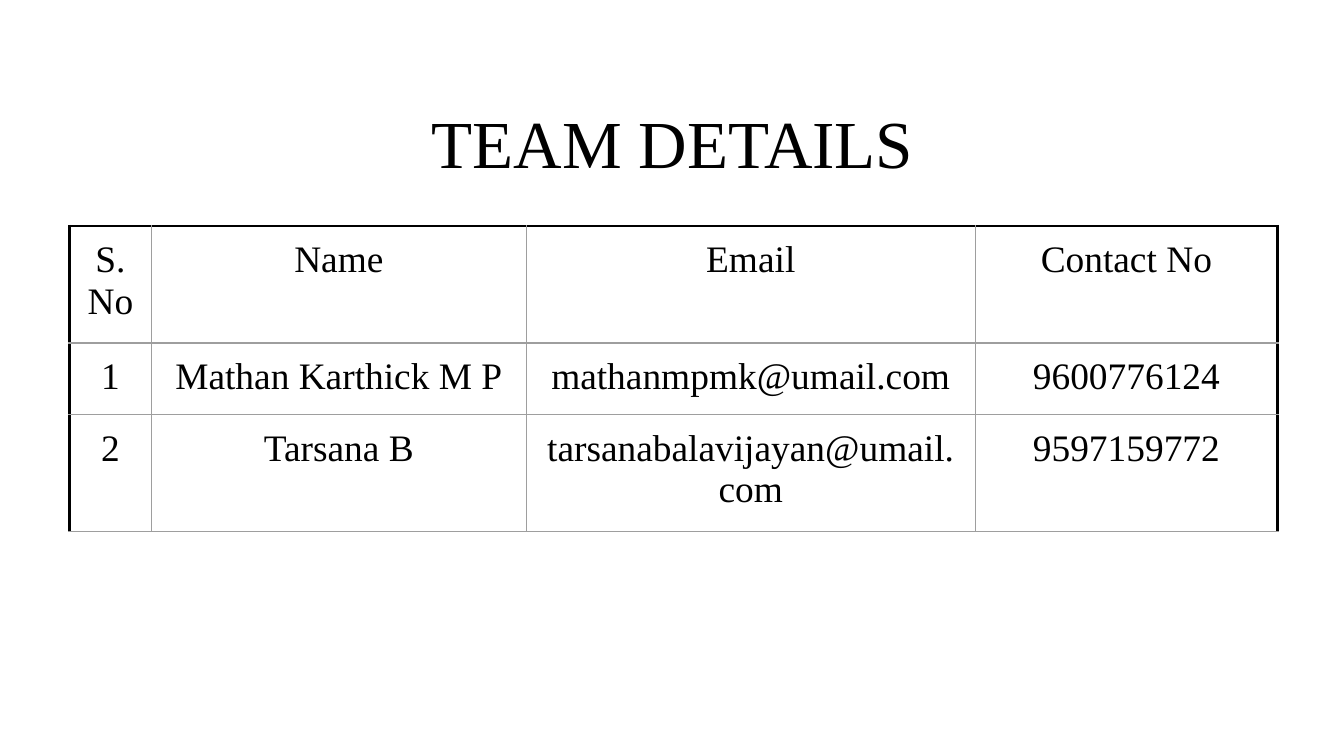
from lxml.etree import SubElement
from pptx import Presentation
from pptx.dml.color import RGBColor
from pptx.enum.text import MSO_AUTO_SIZE, PP_ALIGN
from pptx.oxml.ns import qn
from pptx.util import Inches, Pt

COLORS = {"ink": "000000", "grid": "9E9E9E", "paper": "FFFFFF"}
FONT = "Times New Roman"
INSET = Inches(0.1)
TEAM = [
    ["S. No", "Name", "Email", "Contact No"],
    ["1", "Mathan Karthick M P", "mathanmpmk@umail.com", "9600776124"],
    ["2", "Tarsana B", "tarsanabalavijayan@umail.com", "9597159772"],
]


def write_centered(frame, text, size):
    frame.word_wrap = True
    paragraph = frame.paragraphs[0]
    paragraph.alignment = PP_ALIGN.CENTER
    span = paragraph.add_run()
    span.text = text
    span.font.name = FONT
    span.font.size = Pt(size)
    span.font.color.rgb = RGBColor.from_string(COLORS["ink"])


def add_border(cell, side, outer):
    width, color = (1.5, "ink") if outer else (0.75, "grid")
    properties = cell._tc.get_or_add_tcPr()
    line = SubElement(properties, qn(f"a:ln{side}"), w=str(Pt(width)))
    fill = SubElement(line, qn("a:solidFill"))
    SubElement(fill, qn("a:srgbClr"), val=COLORS[color])


deck = Presentation()
deck.slide_width = Inches(10)
deck.slide_height = deck.slide_width * 9 // 16
column, row = deck.slide_width / 100, deck.slide_height / 100
page = deck.slides.add_slide(deck.slide_layouts[6])
page.background.fill.solid()
page.background.fill.fore_color.rgb = RGBColor.from_string(COLORS["paper"])

title = page.shapes.add_textbox(
    int(25.3 * column), int(11.6 * row), int(49.5 * column), int(14.4 * row)
)
title_frame = title.text_frame
title_frame.auto_size = MSO_AUTO_SIZE.SHAPE_TO_FIT_TEXT
title_frame.margin_left = title_frame.margin_right = INSET
title_frame.margin_top = title_frame.margin_bottom = INSET
write_centered(title_frame, "TEAM DETAILS", 36)

column_shares = [6.1, 27.9, 33.4, 22.5]
row_shares = [15.47, 7.64, 7.64]
table_height = int(59.2 * row)
table_frame = page.shapes.add_table(
    len(TEAM), len(TEAM[0]), int(5.17 * column), int(29.89 * row),
    int(sum(column_shares) * column), table_height,
)
team_table = table_frame.table
team_table.first_row = team_table.horz_banding = False
for table_column, share in zip(team_table.columns, column_shares):
    table_column.width = int(share * column)
for table_row, share in zip(team_table.rows, row_shares):
    table_row.height = int(share * row)
table_frame.height = table_height

for row_index, member in enumerate(TEAM):
    for column_index, text in enumerate(member):
        cell = team_table.cell(row_index, column_index)
        cell.margin_left = cell.margin_right = INSET
        cell.margin_top = cell.margin_bottom = INSET
        add_border(cell, "L", column_index == 0)
        add_border(cell, "R", column_index == len(member) - 1)
        add_border(cell, "T", row_index == 0)
        add_border(cell, "B", False)
        cell.fill.background()
        write_centered(cell.text_frame, text, 20)

deck.save("out.pptx")
